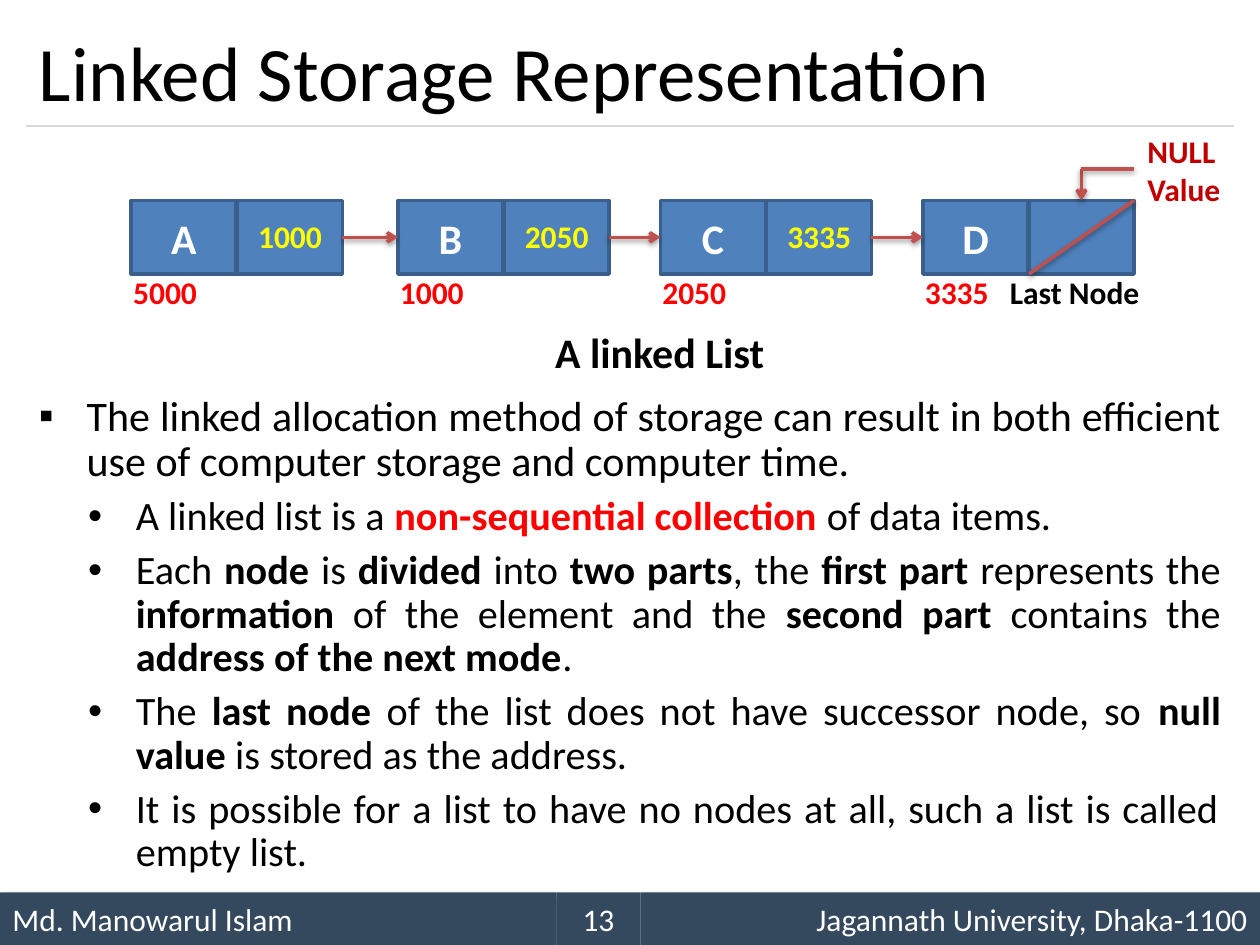
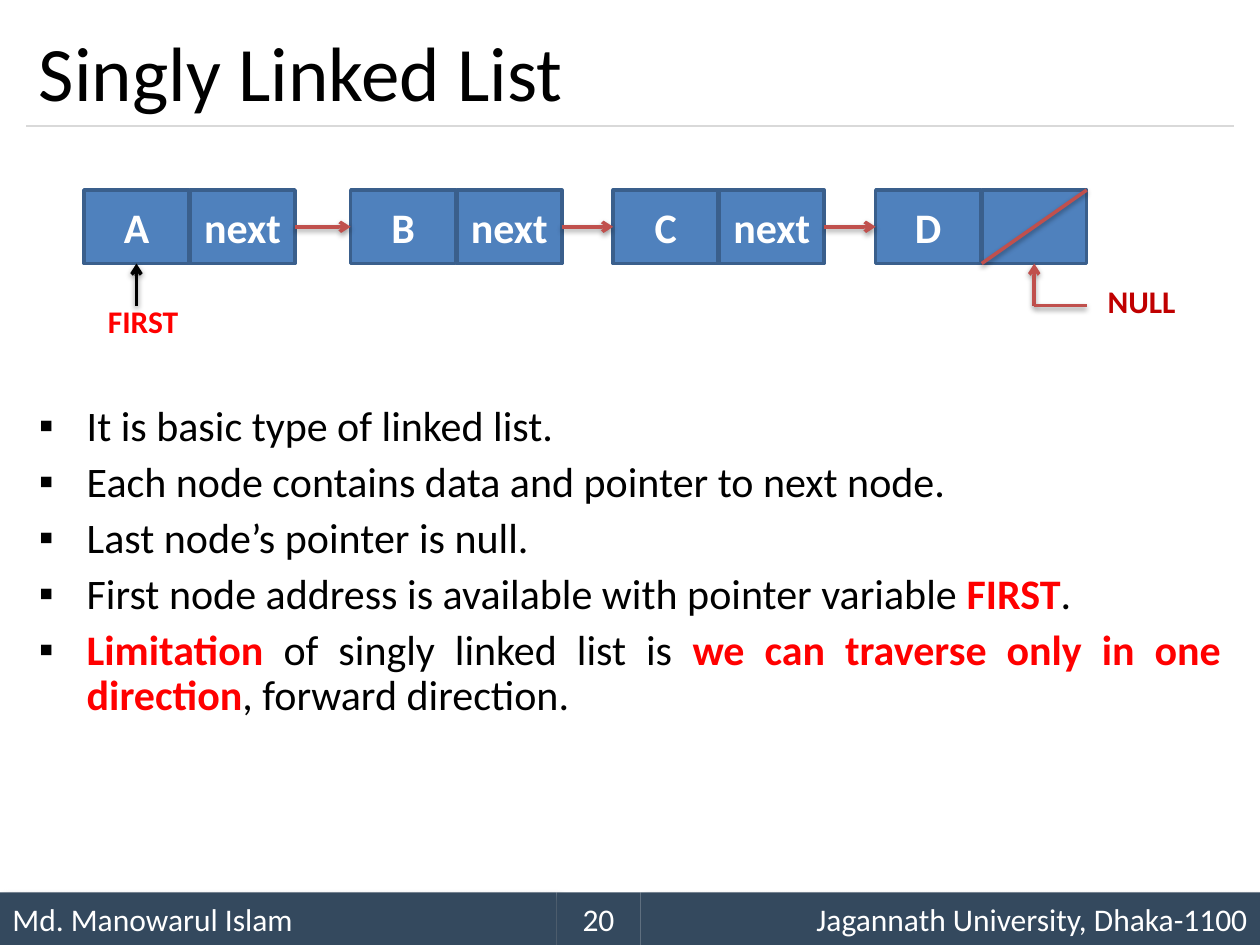
from dataclasses import dataclass
from itertools import pairwise
from typing import Any, NamedTuple

import pptx
import pptx.dml.color
import pptx.enum.dml
import pptx.enum.shapes
import pptx.enum.text
import pptx.oxml
import pptx.oxml.ns
import pptx.util
from lxml import etree

RGBColor = pptx.dml.color.RGBColor
Align = pptx.enum.text.PP_ALIGN
Anchor = pptx.enum.text.MSO_ANCHOR

# Colours and type
BLACK = RGBColor(0x00, 0x00, 0x00)
WHITE = RGBColor(0xFF, 0xFF, 0xFF)
RED = RGBColor(0xFF, 0x00, 0x00)
DARK_RED = RGBColor(0xC0, 0x00, 0x00)
YELLOW = RGBColor(0xFF, 0xFF, 0x00)
NAVY = RGBColor(0x34, 0x49, 0x5E)
RULE_GREY = RGBColor(0xD9, 0xD9, 0xD9)
NODE_BLUE = RGBColor(0x4F, 0x81, 0xBD)
NODE_EDGE = RGBColor(0x3A, 0x5F, 0x8C)
LINK_RED = RGBColor(0xC0, 0x50, 0x4D)
FONT = "Calibri"

# Grid: 120 columns by 90 rows
SLIDE_WIDTH, SLIDE_HEIGHT = pptx.util.Inches(10), pptx.util.Inches(7.5)
COLUMNS, ROWS = 120, 90
MARGIN = 2.5
CONTENT_WIDTH = COLUMNS - 2 * MARGIN
RULE_ROW = 12
FOOTER_ROW = 85

# Linked-list diagram, in grid units
CELL_WIDTH, CELL_HEIGHT = 10, 7
CELL_PITCH = 10.1
NODE_WIDTH = CELL_PITCH + CELL_WIDTH
NODE_OFFSETS = (0, 25.4, 50.4, 75.4)
LABEL_HEIGHT = 4.8
ADDRESS_WIDTH = 8.5


class Box(NamedTuple):
    left: float
    top: float
    width: float
    height: float


class Point(NamedTuple):
    column: float
    row: float


class Shadow(NamedTuple):
    opacity: int
    blur: float
    distance: float
    angle: int


class FooterPart(NamedTuple):
    text: str
    left: float
    width: float
    align: Any
    shadow: Shadow | None


class Bullet(NamedTuple):
    """A list item; words between asterisks are emphasised."""
    text: str
    level: int = 0
    emphasis: RGBColor = BLACK


class LevelStyle(NamedTuple):
    symbol: str
    size: int
    margin: float


@dataclass(frozen=True)
class Node:
    data: str
    link: str = ""
    address: str = ""
    next_address: str = ""


LINK_SHADOW = Shadow(38, 3.1, 1.6, 90)
FOOTER_SHADOW = Shadow(40, 4, 3, 45)
LEVELS = (LevelStyle("▪", 24, 0.38), LevelStyle("•", 23, 0.77))


def across(columns: float) -> int:
    return round(SLIDE_WIDTH * columns / COLUMNS)


def down(rows: float) -> int:
    return round(SLIDE_HEIGHT * rows / ROWS)


def place(box: Box) -> tuple[int, int, int, int]:
    return across(box.left), down(box.top), across(box.width), down(box.height)


def move(placeholder, box: Box) -> None:
    placeholder.left, placeholder.top, placeholder.width, placeholder.height = place(box)


def write(paragraph, text: str, *, size: float, color: RGBColor = BLACK, bold: bool = False,
          align=Align.LEFT, emphasis: RGBColor = BLACK) -> None:
    """Fill a paragraph; words between asterisks turn bold in the emphasis colour."""
    paragraph.alignment = align
    for index, part in enumerate(text.split("*")):
        if not part:
            continue
        stressed = index % 2 == 1
        run = paragraph.add_run()
        run.text = part
        run.font.name, run.font.size = FONT, pptx.util.Pt(size)
        run.font.bold = bold or stressed
        run.font.color.rgb = emphasis if stressed else color


def cast_shadow(shape, shadow: Shadow | None) -> None:
    properties = shape.element.spPr
    tag = pptx.oxml.ns.qn("a:effectLst")
    effects = properties.find(tag)
    if effects is None:
        effects = etree.SubElement(properties, tag)
    if shadow:
        effects.append(pptx.oxml.parse_xml(
            f'<a:outerShdw {pptx.oxml.ns.nsdecls("a")} blurRad="{pptx.util.Pt(shadow.blur)}" '
            f'dist="{pptx.util.Pt(shadow.distance)}" dir="{shadow.angle * 60000}" rotWithShape="0">'
            f'<a:srgbClr val="{BLACK}"><a:alpha val="{shadow.opacity * 1000}"/></a:srgbClr>'
            '</a:outerShdw>'))


def add_panel(slide, box: Box, fill: RGBColor, edge: RGBColor | None = None,
              shadow: Shadow | None = None):
    panel = slide.shapes.add_shape(pptx.enum.shapes.MSO_SHAPE.RECTANGLE, *place(box))
    panel.shadow.inherit = False
    panel.fill.solid()
    panel.fill.fore_color.rgb = fill
    if edge is None:
        panel.line.fill.background()
    else:
        panel.line.color.rgb = edge
        panel.line.width = pptx.util.Pt(2)
    cast_shadow(panel, shadow)
    panel.text_frame.vertical_anchor = Anchor.MIDDLE
    return panel


def add_line(slide, start: Point, end: Point, color: RGBColor = LINK_RED, width: float = 2,
             arrow: bool = False, shadow: Shadow | None = LINK_SHADOW) -> None:
    line = slide.shapes.add_connector(
        pptx.enum.shapes.MSO_CONNECTOR.STRAIGHT,
        across(start.column), down(start.row), across(end.column), down(end.row))
    line.line.color.rgb = color
    line.line.width = pptx.util.Pt(width)
    if arrow:
        etree.SubElement(line.line._get_or_add_ln(), pptx.oxml.ns.qn("a:tailEnd"), type="arrow")
    cast_shadow(line, shadow)


def add_label(slide, text: str, box: Box, color: RGBColor, size: float = 18) -> None:
    frame = slide.shapes.add_textbox(*place(box)).text_frame
    frame.word_wrap = False
    for index, line in enumerate(text.split("\n")):
        paragraph = frame.add_paragraph() if index else frame.paragraphs[0]
        write(paragraph, line, size=size, color=color, bold=True)


def add_base(deck, title: str, number: int):
    """Start a slide with its footer band, title and rule."""
    slide = deck.slides.add_slide(deck.slide_layouts[1])
    footer = (
        FooterPart("Md. Manowarul Islam", 0, 53, Align.LEFT, FOOTER_SHADOW),
        FooterPart("Jagannath University, Dhaka-1100", 61, 59, Align.RIGHT, FOOTER_SHADOW),
        FooterPart(str(number), 53, 8, Align.CENTER, None),
    )
    for part in footer:
        band = add_panel(slide, Box(part.left, FOOTER_ROW, part.width, ROWS - FOOTER_ROW),
                         NAVY, shadow=part.shadow)
        write(band.text_frame.paragraphs[0], part.text, size=18, color=WHITE, align=part.align)
    add_line(slide, Point(MARGIN, RULE_ROW), Point(COLUMNS - MARGIN, RULE_ROW),
             RULE_GREY, width=0.75, shadow=None)

    heading = slide.shapes.title
    move(heading, Box(MARGIN, 1.5, CONTENT_WIDTH, RULE_ROW - 1.5))
    heading.text_frame.vertical_anchor = Anchor.MIDDLE
    heading.text_frame.auto_size = pptx.enum.text.MSO_AUTO_SIZE.NONE
    write(heading.text_frame.paragraphs[0], title, size=44)
    return slide


def add_bullets(slide, top: float, height: float, bullets: list[Bullet]) -> None:
    body = slide.placeholders[1]
    move(body, Box(MARGIN, top, CONTENT_WIDTH, height))
    frame = body.text_frame
    frame.auto_size = pptx.enum.text.MSO_AUTO_SIZE.NONE
    for index, bullet in enumerate(bullets):
        style = LEVELS[bullet.level]
        paragraph = frame.add_paragraph() if index else frame.paragraphs[0]
        paragraph.level = bullet.level
        properties = paragraph._p.get_or_add_pPr()
        properties.set("marL", str(pptx.util.Inches(style.margin)))
        properties.set("indent", str(pptx.util.Inches(-LEVELS[0].margin)))
        bullet_color = etree.SubElement(properties, pptx.oxml.ns.qn("a:buClr"))
        etree.SubElement(bullet_color, pptx.oxml.ns.qn("a:srgbClr"), val=str(BLACK))
        etree.SubElement(properties, pptx.oxml.ns.qn("a:buChar"), char=style.symbol)
        paragraph.line_spacing = 0.9
        paragraph.space_before = pptx.util.Pt(6 if index else 0)
        write(paragraph, bullet.text, size=style.size, align=Align.JUSTIFY,
              emphasis=bullet.emphasis)


def add_linked_list(slide, left: float, top: float, nodes: list[Node]) -> None:
    """Draw the nodes, the links between them and the slash of the last one."""
    starts = [left + offset for offset in NODE_OFFSETS]
    for start, node in zip(starts, nodes):
        for index, text in enumerate((node.data, node.link)):
            cell = add_panel(slide, Box(start + index * CELL_PITCH, top, CELL_WIDTH, CELL_HEIGHT),
                             NODE_BLUE, NODE_EDGE)
            write(cell.text_frame.paragraphs[0], text, size=24, color=WHITE, bold=True,
                  align=Align.CENTER)
        if node.address:
            add_label(slide, node.address,
                      Box(start - 1, top + 6.3, ADDRESS_WIDTH, LABEL_HEIGHT), RED)
        if node.next_address:
            add_label(slide, node.next_address,
                      Box(start + 10.9, top + 1, ADDRESS_WIDTH, LABEL_HEIGHT), YELLOW)
    middle = top + CELL_HEIGHT / 2
    for start, following in pairwise(starts):
        add_line(slide, Point(start + NODE_WIDTH, middle), Point(following, middle), arrow=True)
    add_line(slide, Point(starts[-1] + NODE_WIDTH, top),
             Point(starts[-1] + CELL_PITCH, top + CELL_HEIGHT))


def add_null_pointer(slide, list_left: float, bend_row: float, tip_row: float) -> None:
    last = list_left + NODE_OFFSETS[-1]
    bend = Point(last + CELL_PITCH + CELL_WIDTH / 2, bend_row)
    add_line(slide, bend, Point(bend.column, tip_row), arrow=True)
    add_line(slide, bend, Point(last + NODE_WIDTH, bend_row))


def build_storage_slide(deck) -> None:
    slide = add_base(deck, "Linked Storage Representation", 13)
    add_bullets(slide, 37, 47, [
        Bullet("The linked allocation method of storage can result in both efficient use of "
               "computer storage and computer time."),
        Bullet("A linked list is a *non-sequential collection *of data items.", 1, RED),
        Bullet("Each *node* is *divided* into *two parts*, the *first part *represents the "
               "*information* of the element and the *second part *contains the "
               "*address of the next mode*.", 1),
        Bullet("The *last node *of the list does not have successor node, so *null value *"
               "is stored as the address.", 1),
        Bullet("It is possible for a list to have no nodes at all, such a list is called "
               "empty list.", 1),
    ])
    left, top = 12.5, 19.1
    add_linked_list(slide, left, top, [
        Node("A", address="5000", next_address="1000"),
        Node("B", address="1000", next_address="2050"),
        Node("C", address="2050", next_address="3335"),
        Node("D", address="3335"),
    ])
    add_label(slide, "A linked List", Box(51.7, 30.5, 22.6, 6), BLACK, size=24)
    add_null_pointer(slide, left, top - 3, top)
    add_label(slide, "NULL\nValue", Box(108.1, RULE_ROW, 9.7, 8.5), DARK_RED)
    add_label(slide, "Last Node", Box(95, top + 6.3, 14.9, LABEL_HEIGHT), BLACK)


def build_singly_slide(deck) -> None:
    slide = add_base(deck, "Singly Linked List", 20)
    add_bullets(slide, 38, 33, [
        Bullet("It is basic type of linked list."),
        Bullet("Each node contains data and pointer to next node."),
        Bullet("Last node’s pointer is null."),
        Bullet("First node address is available with pointer variable *FIRST*.", emphasis=RED),
        Bullet("*Limitation *of singly linked list is *we can traverse only in one direction*, "
               "forward direction.", emphasis=RED),
    ])
    left, top = 8, 18.1
    bottom = top + CELL_HEIGHT
    add_linked_list(slide, left, top,
                    [Node("A", "next"), Node("B", "next"), Node("C", "next"), Node("D")])
    add_label(slide, "FIRST", Box(9.1, 28.2, 9.2, LABEL_HEIGHT), RED)
    first = left + CELL_WIDTH / 2
    add_line(slide, Point(first, bottom + 4), Point(first, bottom), BLACK, arrow=True)
    add_null_pointer(slide, left, bottom + 4, bottom)
    add_label(slide, "NULL", Box(104.3, 26.3, 9.7, LABEL_HEIGHT), DARK_RED)


def main() -> None:
    deck = pptx.Presentation()
    deck.slide_width, deck.slide_height = SLIDE_WIDTH, SLIDE_HEIGHT
    build_storage_slide(deck)
    build_singly_slide(deck)
    deck.save("out.pptx")


if __name__ == "__main__":
    main()
